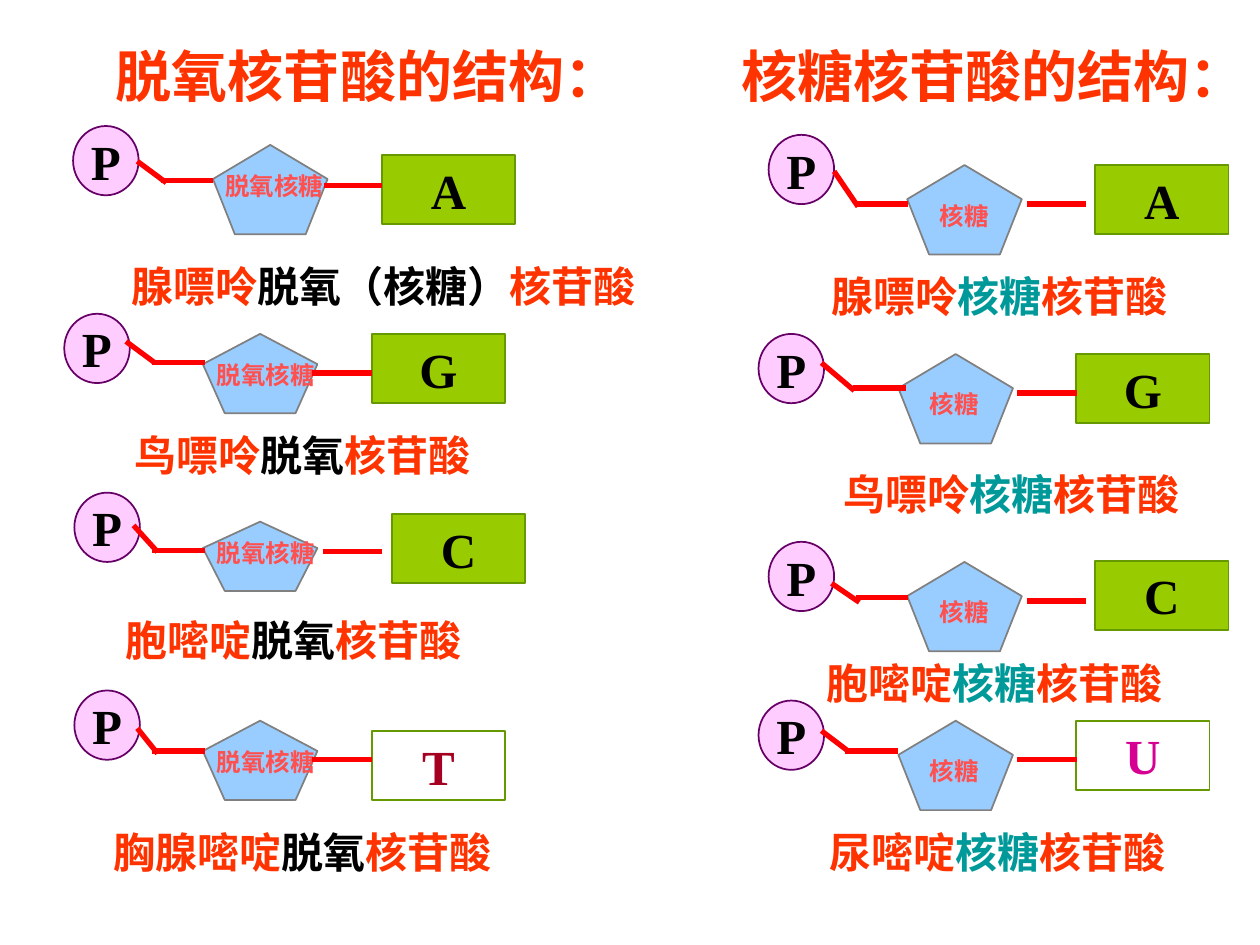
import dataclasses

import lxml.etree
import pptx
import pptx.dml.color
import pptx.enum.shapes
import pptx.enum.text
import pptx.oxml.ns
import pptx.util

Inches = pptx.util.Inches
RGBColor = pptx.dml.color.RGBColor
SHAPES = pptx.enum.shapes.MSO_SHAPE
ALIGN = pptx.enum.text.PP_ALIGN
ANCHOR = pptx.enum.text.MSO_ANCHOR

FONT = "Times New Roman"
BLACK = RGBColor(0x00, 0x00, 0x00)
WHITE = RGBColor(0xFF, 0xFF, 0xFF)
ORANGE = RGBColor(0xFF, 0x33, 0x00)
TEAL = RGBColor(0x00, 0x99, 0x99)
RED = RGBColor(0xFF, 0x00, 0x00)
CORAL = RGBColor(0xFF, 0x50, 0x50)
PINK = RGBColor(0xFF, 0xCC, 0xFF)
PURPLE = RGBColor(0x66, 0x00, 0x66)
BLUE = RGBColor(0x99, 0xCC, 0xFF)
GRAY = RGBColor(0x80, 0x80, 0x80)
GREEN = RGBColor(0x99, 0xCC, 0x00)
DARK_GREEN = RGBColor(0x66, 0x99, 0x00)
CRIMSON = RGBColor(0xA5, 0x00, 0x21)
MAGENTA = RGBColor(0xD6, 0x00, 0x93)


@dataclasses.dataclass
class Nucleotide:
    """Positions are (left, top) in inches; bonds are (x1, y1, x2, y2)."""
    letter: str
    base_name: str
    sugar_part: str
    phosphate: tuple
    sugar: tuple
    sugar_height: float
    sugar_name: tuple
    base: tuple
    caption: tuple  # left, top, width
    bonds: tuple
    letter_color: RGBColor = BLACK
    base_fill: RGBColor = GREEN


DEOXYRIBO = [
    Nucleotide("A", "腺嘌呤", "脱氧（核糖）", (0.58, 1), (1.69, 1.15), 0.71,
               (1.69, 1.31), (3.03, 1.23), (0.75, 2.02, 4.59),
               ((1.09, 1.28, 1.32, 1.45), (1.28, 1.43, 1.69, 1.43), (2.57, 1.47, 3.03, 1.47))),
    Nucleotide("G", "鸟嘌呤", "脱氧", (0.51, 2.49), (1.61, 2.65), 0.63,
               (1.62, 2.81), (2.95, 2.65), (0.75, 3.36, 3.3),
               ((1, 2.71, 1.23, 2.88), (1.21, 2.88, 1.63, 2.88), (2.48, 2.96, 2.95, 2.96))),
    Nucleotide("C", "胞嘧啶", "脱氧", (0.59, 3.91), (1.61, 4.14), 0.55,
               (1.62, 4.22), (3.11, 4.08), (0.68, 4.83, 3.3),
               ((1.06, 4.17, 1.25, 4.38), (1.21, 4.37, 1.63, 4.37), (2.56, 4.38, 3.03, 4.38))),
    Nucleotide("T", "胸腺嘧啶", "脱氧", (0.59, 5.48), (1.61, 5.72), 0.63,
               (1.62, 5.88), (2.95, 5.8), (0.59, 6.51, 3.62),
               ((1.09, 5.78, 1.25, 5.98), (1.21, 5.96, 1.63, 5.96), (2.48, 6.03, 2.95, 6.03)),
               CRIMSON, WHITE),
]
RIBO = [
    Nucleotide("A", "腺嘌呤", "核糖", (6.1, 1.07), (7.2, 1.31), 0.71,
               (7.36, 1.55), (8.69, 1.31), (6.5, 2.1, 2.86),
               ((6.62, 1.36, 6.81, 1.64), (6.79, 1.62, 7.21, 1.62), (8.15, 1.62, 8.62, 1.62))),
    Nucleotide("G", "鸟嘌呤", "核糖", (6.02, 2.65), (7.13, 2.81), 0.71,
               (7.28, 3.04), (8.54, 2.81), (6.41, 3.67, 3.23),
               ((6.52, 2.88, 6.78, 3.1), (6.77, 3.08, 7.19, 3.08), (8.07, 3.12, 8.55, 3.12))),
    Nucleotide("C", "胞嘧啶", "核糖", (6.1, 4.3), (7.2, 4.46), 0.71,
               (7.36, 4.69), (8.69, 4.45), (6.26, 5.17, 3.27),
               ((6.6, 4.63, 6.82, 4.78), (6.79, 4.74, 7.21, 4.74), (8.15, 4.77, 8.62, 4.77))),
    Nucleotide("U", "尿嘧啶", "核糖", (6.02, 5.56), (7.13, 5.72), 0.71,
               (7.28, 5.95), (8.54, 5.72), (6.34, 6.51, 3.15),
               ((6.52, 5.8, 6.73, 5.96), (6.71, 5.96, 7.13, 5.96), (8.07, 6.03, 8.55, 6.03)),
               MAGENTA, WHITE),
]


def write_text(shape, parts, size, align=ALIGN.CENTER, anchor=ANCHOR.TOP):
    """Fill a shape with one unwrapped line made of (text, colour) parts."""
    frame = shape.text_frame
    frame.auto_size = pptx.enum.text.MSO_AUTO_SIZE.NONE
    frame.word_wrap = False
    frame.vertical_anchor = anchor
    para = frame.paragraphs[0]
    para.alignment = align
    for text, color in parts:
        span = para.add_run()
        span.text = text
        span.font.name = FONT
        span.font.size = pptx.util.Pt(size)
        span.font.bold = True
        span.font.color.rgb = color


def add_text(slide, left, top, width, height, parts, size, align=ALIGN.CENTER):
    box = slide.shapes.add_textbox(Inches(left), Inches(top), Inches(width), Inches(height))
    write_text(box, parts, size, align)


def add_figure(slide, kind, position, size, fill, outline):
    shape = slide.shapes.add_shape(kind, *map(Inches, position + size))
    shape.shadow.inherit = False
    shape.fill.solid()
    shape.fill.fore_color.rgb = fill
    shape.line.color.rgb = outline
    shape.line.width = pptx.util.Pt(1)
    return shape


def add_bond(slide, ends):
    bond = slide.shapes.add_connector(pptx.enum.shapes.MSO_CONNECTOR.STRAIGHT, *map(Inches, ends))
    bond.line.color.rgb = RED
    bond.line.width = pptx.util.Pt(3)
    lxml.etree.SubElement(bond._element.spPr, pptx.oxml.ns.qn("a:effectLst"))


def add_nucleotide(slide, item, sugar_label, sugar_color):
    phosphate = add_figure(slide, SHAPES.OVAL, item.phosphate, (0.52, 0.55), PINK, PURPLE)
    write_text(phosphate, [("P", BLACK)], 28, anchor=ANCHOR.MIDDLE)
    add_figure(slide, SHAPES.REGULAR_PENTAGON, item.sugar, (0.91, item.sugar_height), BLUE, GRAY)
    base = add_figure(slide, SHAPES.RECTANGLE, item.base, (1.06, 0.55), item.base_fill, DARK_GREEN)
    write_text(base, [(item.letter, item.letter_color)], 28, anchor=ANCHOR.MIDDLE)
    name_width = 0.2 + len(sugar_label) * 14 / 72
    add_text(slide, *item.sugar_name, name_width, 0.34, [(sugar_label, CORAL)], 14, ALIGN.LEFT)
    caption = [(item.base_name, ORANGE), (item.sugar_part, sugar_color), ("核苷酸", ORANGE)]
    add_text(slide, *item.caption, 0.5, caption, 24)
    for ends in item.bonds:
        add_bond(slide, ends)


def place_title(slide, text):
    title = slide.shapes.title
    title.left, title.top, title.width, title.height = map(Inches, (0.6, 0.28, 4.2, 0.64))
    write_text(title, [(text, ORANGE)], 32)


def main():
    deck = pptx.Presentation()
    deck.slide_width, deck.slide_height = Inches(10), Inches(7.5)
    slide = deck.slides.add_slide(deck.slide_layouts.get_by_name("Title Only"))
    place_title(slide, "脱氧核苷酸的结构：")
    add_text(slide, 5.79, 0.28, 4.2, 0.64, [("核糖核苷酸的结构：", ORANGE)], 32)
    for item in DEOXYRIBO:
        add_nucleotide(slide, item, "脱氧核糖", BLACK)
    for item in RIBO:
        add_nucleotide(slide, item, "核糖", TEAL)
    deck.save("out.pptx")


if __name__ == "__main__":
    main()
